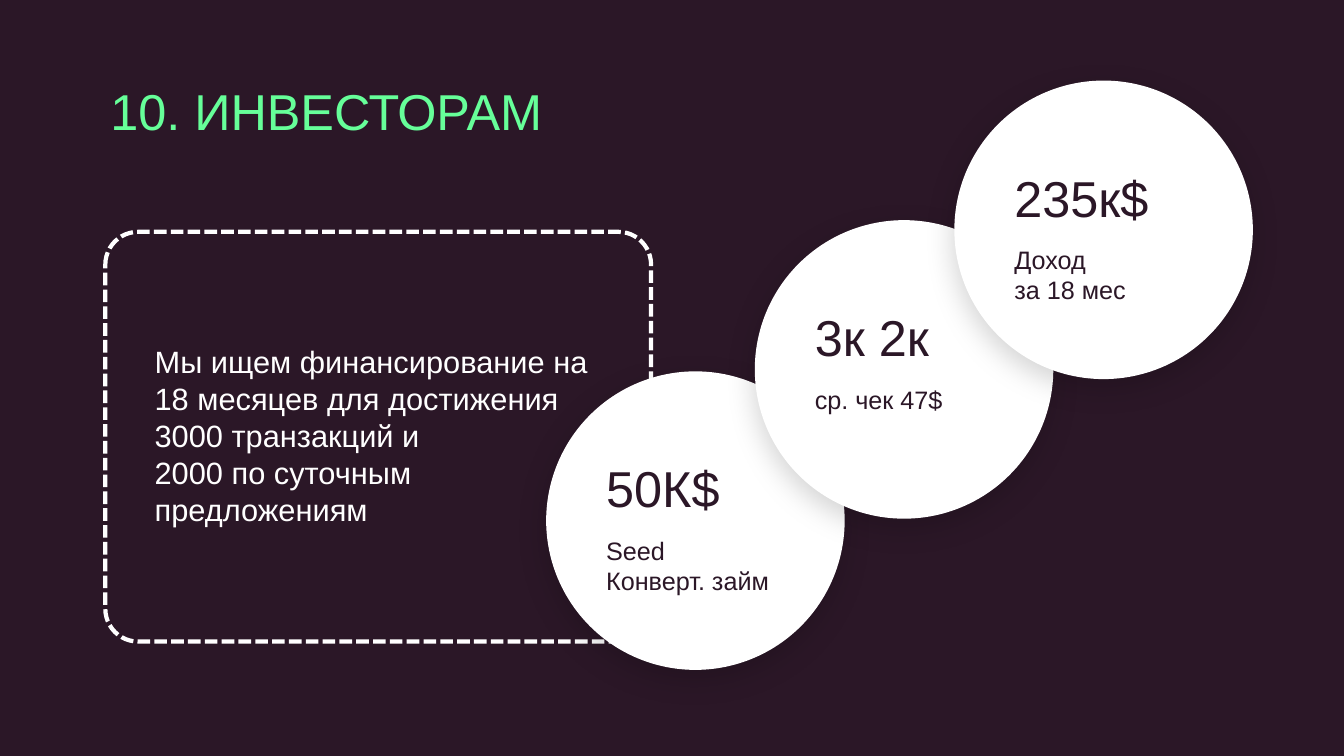
from dataclasses import dataclass

from lxml.etree import SubElement
from pptx import Presentation
from pptx.dml.color import RGBColor
from pptx.enum.dml import MSO_LINE_DASH_STYLE as DASH
from pptx.enum.shapes import MSO_SHAPE as SHAPE
from pptx.enum.text import MSO_ANCHOR as ANCHOR, MSO_AUTO_SIZE as AUTOSIZE, PP_ALIGN as ALIGN
from pptx.oxml.ns import qn
from pptx.util import Inches, Pt


@dataclass(frozen=True)
class Theme:
    font: str = "Arial"
    dark: RGBColor = RGBColor.from_string("2B1727")
    light: RGBColor = RGBColor.from_string("FFFFFF")
    accent: RGBColor = RGBColor.from_string("66FF99")
    heading: Pt = Pt(72)
    body: Pt = Pt(44)
    caption: Pt = Pt(36)
    outline: Pt = Pt(6)


@dataclass(frozen=True)
class Metric:
    left: float
    top: float
    value: str
    caption: tuple[str, ...]


THEME = Theme()
DIAMETER = 5.84
TEXT_INDENT = 1.05
VALUE_DROP = 1.62
CAPTION_DROP = 3.16
METRICS = (
    Metric(10.88, 7.41, "50К$", ("Seed", "Конверт. займ")),
    Metric(15.02, 4.41, "3к 2к", ("ср. чек 47$",)),
    Metric(18.98, 1.64, "235к$", ("Доход", "за 18 мес")),
)
GOAL = (
    "Мы ищем финансирование на",
    "18 месяцев для достижения",
    "3000 транзакций и",
    "2000 по суточным предложениям",
)


def place(sp, left: float, top: float, width: float, height: float) -> None:
    sp.left, sp.top = Inches(left), Inches(top)
    sp.width, sp.height = Inches(width), Inches(height)


def write(tf, lines: tuple[str, ...], size: Pt, color: RGBColor) -> None:
    tf.word_wrap = True
    for i, line in enumerate(lines):
        p = tf.paragraphs[0] if i == 0 else tf.add_paragraph()
        p.alignment = ALIGN.LEFT
        r = p.add_run()
        r.text = line
        for name, value in {"name": THEME.font, "size": size, "bold": False}.items():
            setattr(r.font, name, value)
        r.font.color.rgb = color


def add_text(s, box: tuple[float, ...], lines: tuple[str, ...], size: Pt, color: RGBColor) -> None:
    tf = s.shapes.add_textbox(*map(Inches, box)).text_frame
    write(tf, lines, size, color)
    tf.auto_size = AUTOSIZE.SHAPE_TO_FIT_TEXT


def add_outlined(s, kind: SHAPE, box: tuple[float, ...]):
    sp = s.shapes.add_shape(kind, *map(Inches, box))
    sp.line.color.rgb = THEME.light
    sp.line.width = THEME.outline
    sp.shadow.inherit = False
    return sp


def add_soft_shadow(sp) -> None:
    effects = sp._element.spPr.find(qn("a:effectLst"))
    shadow = SubElement(effects, qn("a:outerShdw"), blurRad=str(Pt(41)), dist=str(Pt(13)),
                        dir=str(103 * 60000), algn="t", rotWithShape="0")
    color = SubElement(shadow, qn("a:srgbClr"), val="000000")
    SubElement(color, qn("a:alpha"), val="17000")


def add_title(s, text: str) -> None:
    title = s.shapes.title
    place(title, 2.09, 1.68, 12.93, 1.31)
    tf = title.text_frame
    write(tf, (text,), THEME.heading, THEME.accent)
    tf.auto_size = AUTOSIZE.NONE
    tf.vertical_anchor = ANCHOR.MIDDLE
    tf.paragraphs[0].line_spacing = 0.7


def add_frame(s) -> None:
    frame = add_outlined(s, SHAPE.ROUNDED_RECTANGLE, (2.09, 4.6, 10.83, 8.13))
    frame.adjustments[0] = 0.08
    frame.fill.background()
    frame.line.dash_style = DASH.SQUARE_DOT


def add_metric(s, m: Metric) -> None:
    circle = add_outlined(s, SHAPE.OVAL, (m.left, m.top, DIAMETER, DIAMETER))
    circle.fill.solid()
    circle.fill.fore_color.rgb = THEME.light
    add_soft_shadow(circle)
    left = m.left + TEXT_INDENT
    caption_height = 0.11 + 0.6 * len(m.caption)
    add_text(s, (left, m.top + CAPTION_DROP, 4.87, caption_height), m.caption,
             THEME.caption, THEME.dark)
    add_text(s, (left, m.top + VALUE_DROP, 3.85, 1.31), (m.value,), THEME.heading, THEME.dark)


def main() -> None:
    prs = Presentation()
    prs.slide_width, prs.slide_height = Inches(26.67), Inches(15)
    s = prs.slides.add_slide(prs.slide_layouts[5])
    s.background.fill.solid()
    s.background.fill.fore_color.rgb = THEME.dark
    add_title(s, "10. ИНВЕСТОРАМ")
    add_text(s, (2.97, 6.76, 8.9, 3.8), GOAL, THEME.body, THEME.light)
    add_frame(s)
    for m in METRICS:
        add_metric(s, m)
    prs.save("out.pptx")


if __name__ == "__main__":
    main()
